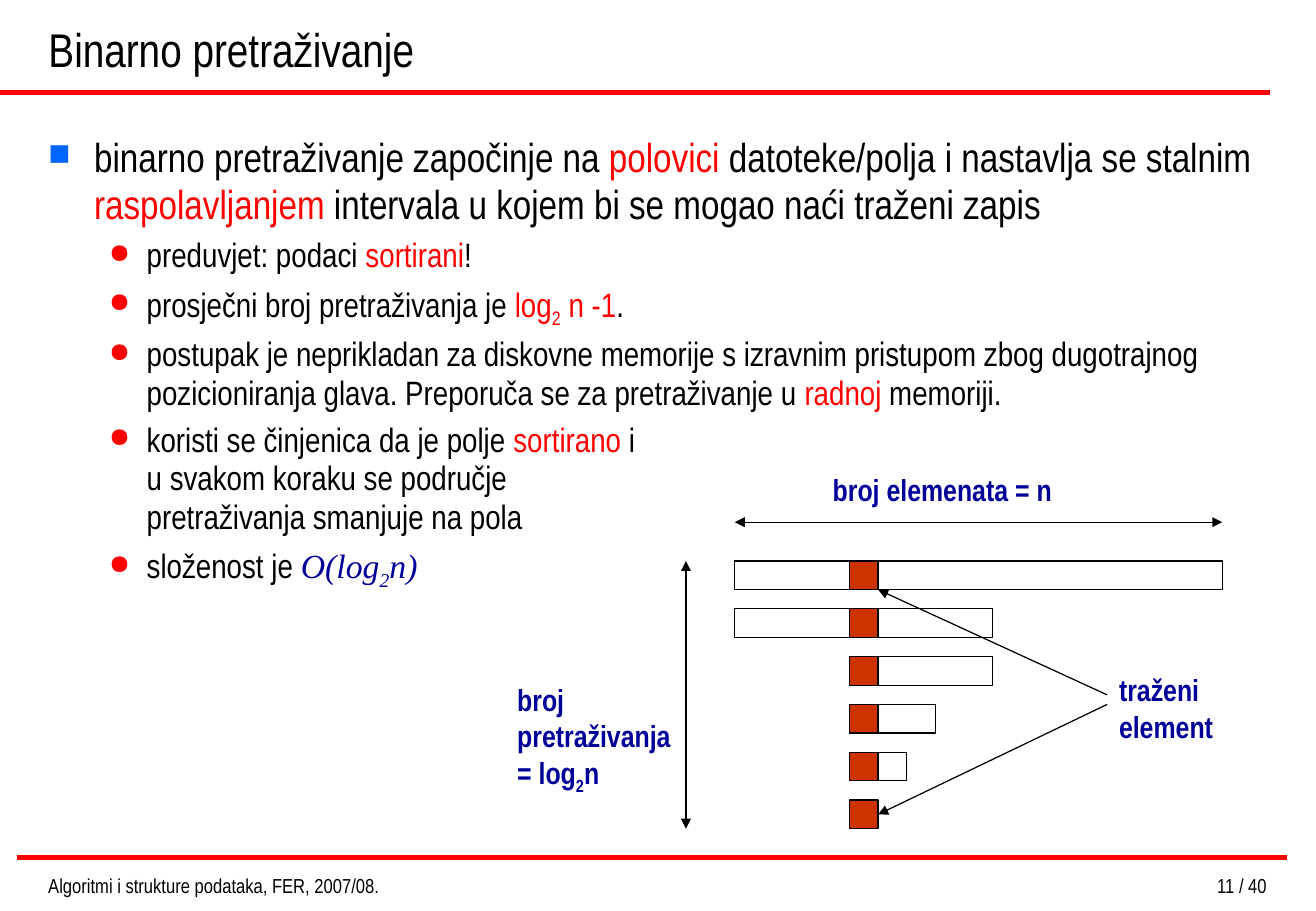
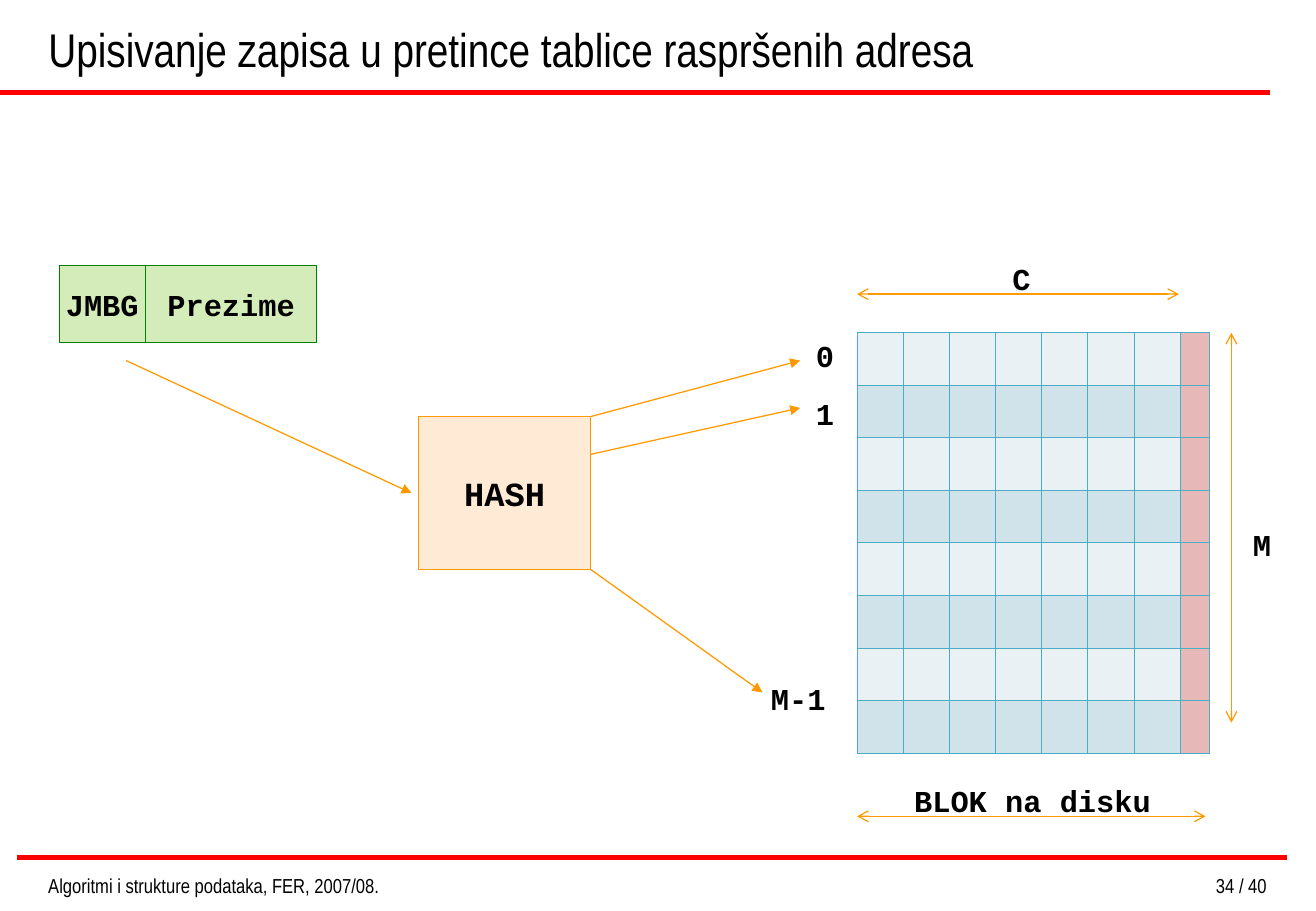
from dataclasses import dataclass

from lxml.etree import SubElement
from pptx import Presentation
from pptx.dml.color import RGBColor
from pptx.enum.shapes import MSO_CONNECTOR, MSO_SHAPE
from pptx.enum.text import MSO_ANCHOR, MSO_AUTO_SIZE, PP_ALIGN
from pptx.oxml.ns import qn
from pptx.util import Cm, Pt


@dataclass(frozen=True)
class Theme:
    black: str = "000000"
    red: str = "FF0000"
    navy: str = "000099"
    blue: str = "0066FF"
    rust: str = "CC3300"
    green: str = "92D050"
    dark_green: str = "008000"
    peach: str = "FFCC99"
    orange: str = "FF9900"
    grid: str = "4BACC6"
    bands: tuple = ("E9F1F5", "D0E3EA")
    pink: str = "E6B9B8"
    sans: str = "Arial Narrow"
    serif: str = "Times New Roman"
    mono: str = "Courier New"
    title: int = 28
    body: int = 24
    detail: int = 20
    label: int = 18
    footer: int = 12
    thin: float = 0.75
    rule: float = 3
    hairline: float = 0.45


THEME = Theme()

KEY = {"color": THEME.red}
KEY_SUB = {"color": THEME.red, "subscript": True}
FORMULA = {"color": THEME.navy, "font": THEME.serif, "italic": True}
LABEL = {"size": THEME.label, "color": THEME.navy, "bold": True}
CODE = {"size": THEME.label, "font": THEME.mono, "bold": True}

FOOTER = "Algoritmi i strukture podataka, FER, 2007/08."
RULES = [(0, 1.93, 26.57, 1.93), (0.36, 17.93, 26.92, 17.93)]

MAIN_POINT = [
    "binarno pretraživanje započinje na ", ("polovici", KEY),
    " datoteke/polja i nastavlja se stalnim ", ("raspolavljanjem", KEY),
    " intervala u kojem bi se mogao naći traženi zapis",
]
DETAILS = [
    ["preduvjet: podaci ", ("sortirani", KEY), "!"],
    ["prosječni broj pretraživanja je ", ("log", KEY), ("2", KEY_SUB), (" n -1", KEY), "."],
    ["postupak je neprikladan za diskovne memorije s izravnim pristupom zbog dugotrajnog "
     "pozicioniranja glava. Preporuča se za pretraživanje u ", ("radnoj", KEY), " memoriji."],
    ["koristi se činjenica da je polje ", ("sortirano", KEY),
     " i\nu svakom koraku se područje\npretraživanja smanjuje na pola"],
    ["složenost je ", ("O(log", FORMULA), ("2", {**FORMULA, "subscript": True}), ("n)", FORMULA)],
]
SEARCH_LABELS = [
    (["broj elemenata = n"], (17.17, 9.73, 5.41, 1.02)),
    (["traženi element"], (23.16, 13.92, 3.61, 1.78)),
    (["broj pretraživanja = log", ("2", {"subscript": True}), "n"], (10.57, 14.12, 3.99, 2.64)),
]
SEARCH_INTERVALS = [(0, 17), (0, 9), (4, 5), (4, 3), (4, 2), (4, 1)]
TARGET_CELL = 4
CELL = 0.6
INTERVAL_PITCH = 1
INTERVALS_LEFT, INTERVALS_TOP = 15.37, 11.73

HASH_BOXES = [
    ("JMBG", (1.24, 5.56, 1.8, 1.6), THEME.green, THEME.dark_green, THEME.label),
    ("Prezime", (3.04, 5.56, 3.59, 1.6), THEME.green, THEME.dark_green, THEME.label),
    ("HASH", (8.76, 8.71, 3.6, 3.2), THEME.peach, THEME.orange, THEME.detail),
]
HASH_ARROWS = [
    (2.64, 7.54, 8.61, 10.31),
    (12.36, 8.71, 16.74, 7.54),
    (12.36, 9.5, 16.74, 8.53),
    (12.36, 11.91, 15.95, 14.48),
]
DIMENSIONS = [
    (17.93, 6.15, 24.66, 6.15),
    (17.93, 17.07, 25.22, 17.07),
    (25.76, 6.96, 25.76, 15.11),
]
HASH_LABELS = [
    ("0", (16.79, 6.93, 0.91, 1.02), PP_ALIGN.RIGHT),
    ("1", (16.79, 8.13, 0.91, 1.02), PP_ALIGN.RIGHT),
    ("M-1", (15.54, 14.1, 1.98, 1.02), PP_ALIGN.RIGHT),
    ("C", (20.93, 5.31, 0.91, 1.02), PP_ALIGN.LEFT),
    ("M", (25.96, 10.87, 0.91, 1.02), PP_ALIGN.LEFT),
    ("BLOK na disku", (17.93, 16.23, 7.34, 1.02), PP_ALIGN.CENTER),
]
BLOCK_LEFT, BLOCK_TOP = 17.93, 6.95
BLOCK_ROWS, BLOCK_RECORDS = 8, 7
ROW_HEIGHT, RECORDS_WIDTH, OVERFLOW_WIDTH = 1.1, 6.76, 0.6


def rgb(color):
    return RGBColor.from_string(color)


def place(box):
    return [Cm(length) for length in box]


def add_run(paragraph, text, size, color=THEME.black, font=THEME.sans,
            bold=False, italic=False, subscript=False):
    for index, line in enumerate(text.split("\n")):
        if index:
            paragraph.add_line_break()
        run = paragraph.add_run()
        run.text = line
        run.font.size = Pt(size)
        run.font.name = font
        run.font.bold = bold
        run.font.italic = italic
        run.font.color.rgb = rgb(color)
        if subscript:
            run.font._element.set("baseline", "-25000")


def write_text(paragraph, runs, align=PP_ALIGN.LEFT, **style):
    paragraph.alignment = align
    for run in runs:
        text, extra = (run, {}) if isinstance(run, str) else run
        add_run(paragraph, text, **{**style, **extra})


def add_text(slide, runs, box, **style):
    frame = slide.shapes.add_textbox(*place(box)).text_frame
    frame.word_wrap = True
    write_text(frame.paragraphs[0], runs, **style)
    return frame


def set_bullet(paragraph, character, color, percent, margin, hanging):
    properties = paragraph._p.get_or_add_pPr()
    properties.set("marL", str(Cm(margin)))
    properties.set("indent", str(-Cm(hanging)))
    bullet_color = SubElement(properties, qn("a:buClr"))
    SubElement(bullet_color, qn("a:srgbClr"), val=color)
    SubElement(properties, qn("a:buSzPct"), val=str(percent * 1000))
    SubElement(properties, qn("a:buChar"), char=character)
    paragraph.line_spacing = 0.95


def add_line(slide, points, color, width=THEME.thin, head=None, tail=None):
    connector = slide.shapes.add_connector(MSO_CONNECTOR.STRAIGHT, *place(points))
    connector.line.color.rgb = rgb(color)
    connector.line.width = Pt(width)
    line = connector.line._get_or_add_ln()
    for tag, kind in (("a:headEnd", head), ("a:tailEnd", tail)):
        if kind:
            SubElement(line, qn(tag), type=kind)
    SubElement(connector._element.spPr, qn("a:effectLst"))
    return connector


def add_rectangle(slide, box, line, fill=None, opacity=100):
    shape = slide.shapes.add_shape(MSO_SHAPE.RECTANGLE, *place(box))
    shape.shadow.inherit = False
    shape.line.color.rgb = rgb(line)
    shape.line.width = Pt(THEME.thin)
    if fill is None:
        shape.fill.background()
        return shape
    shape.fill.solid()
    shape.fill.fore_color.rgb = rgb(fill)
    if opacity < 100:
        color = shape._element.spPr.find(qn("a:solidFill")).find(qn("a:srgbClr"))
        SubElement(color, qn("a:alpha"), val=str(opacity * 1000))
    return shape


def add_slide(presentation, title, number):
    slide = presentation.slides.add_slide(presentation.slide_layouts[5])
    for rule in RULES:
        add_line(slide, rule, THEME.red, THEME.rule)
    heading = slide.shapes.title
    heading.left, heading.top, heading.width, heading.height = place((0.76, 0, 25.81, 1.73))
    frame = heading.text_frame
    frame.vertical_anchor = MSO_ANCHOR.BOTTOM
    frame.auto_size = MSO_AUTO_SIZE.NONE
    write_text(frame.paragraphs[0], [title], size=THEME.title)
    add_text(slide, [FOOTER], (0.76, 18.14, 9.6, 0.61), size=THEME.footer)
    add_text(slide, [number], (19.71, 18.14, 7.04, 0.61), size=THEME.footer, align=PP_ALIGN.RIGHT)
    return slide


def build_search_slide(presentation):
    slide = add_slide(presentation, "Binarno pretraživanje", "11 / 40")
    body = add_text(slide, MAIN_POINT, (0.76, 2.72, 26.01, 14.81), size=THEME.body)
    set_bullet(body.paragraphs[0], "■", THEME.blue, 75, 0.96, 0.96)
    for detail in DETAILS:
        paragraph = body.add_paragraph()
        set_bullet(paragraph, "●", THEME.red, 80, 2.06, 0.79)
        paragraph.space_before = Pt(5)
        write_text(paragraph, detail, size=THEME.detail)

    target_left = INTERVALS_LEFT + TARGET_CELL * CELL
    targets = []
    for row, (start, cells) in enumerate(SEARCH_INTERVALS):
        top = INTERVALS_TOP + row * INTERVAL_PITCH
        if cells > 1:
            left = INTERVALS_LEFT + start * CELL
            add_rectangle(slide, (left, top, cells * CELL, CELL), THEME.black)
        targets.append(add_rectangle(slide, (target_left, top, CELL, CELL), THEME.black, THEME.rust))

    right = INTERVALS_LEFT + SEARCH_INTERVALS[0][1] * CELL
    bottom = INTERVALS_TOP + (len(SEARCH_INTERVALS) - 1) * INTERVAL_PITCH + CELL
    for span in ((INTERVALS_LEFT, 10.92, right, 10.92), (14.35, INTERVALS_TOP, 14.35, bottom)):
        add_line(slide, span, THEME.black, head="triangle", tail="triangle")
    target_right = target_left + CELL
    add_line(slide, (23.16, 14.53, target_right, INTERVALS_TOP + CELL), THEME.black, tail="triangle")
    last_arrow = add_line(slide, (23.16, 14.73, target_right, bottom - CELL / 2),
                          THEME.black, tail="triangle")
    last_arrow.end_connect(targets[-1], 3)
    for runs, box in SEARCH_LABELS:
        add_text(slide, runs, box, **LABEL)


def format_cell(cell, fill):
    properties = cell._tc.get_or_add_tcPr()
    for side in ("a:lnL", "a:lnR", "a:lnT", "a:lnB"):
        border = SubElement(properties, qn(side), w=str(Pt(THEME.hairline)))
        SubElement(SubElement(border, qn("a:solidFill")), qn("a:srgbClr"), val=THEME.grid)
    cell.fill.solid()
    cell.fill.fore_color.rgb = rgb(fill)


def add_block_table(slide):
    box = (BLOCK_LEFT, BLOCK_TOP, RECORDS_WIDTH + OVERFLOW_WIDTH, BLOCK_ROWS * ROW_HEIGHT)
    table = slide.shapes.add_table(BLOCK_ROWS, BLOCK_RECORDS + 1, *place(box)).table
    table.first_row = False
    table.horz_banding = False
    for index, column in enumerate(table.columns):
        column.width = Cm(RECORDS_WIDTH / BLOCK_RECORDS if index < BLOCK_RECORDS else OVERFLOW_WIDTH)
    for row_index, row in enumerate(table.rows):
        row.height = Cm(ROW_HEIGHT)
        for index, cell in enumerate(row.cells):
            format_cell(cell, THEME.bands[row_index % 2] if index < BLOCK_RECORDS else THEME.pink)


def build_hash_slide(presentation):
    slide = add_slide(presentation, "Upisivanje zapisa u pretince tablice raspršenih adresa", "34 / 40")
    for text, box, fill, line, size in HASH_BOXES:
        frame = add_rectangle(slide, box, line, fill, opacity=40).text_frame
        frame.word_wrap = False
        frame.vertical_anchor = MSO_ANCHOR.MIDDLE
        write_text(frame.paragraphs[0], [text], align=PP_ALIGN.CENTER, **{**CODE, "size": size})
    add_block_table(slide)
    for arrow in HASH_ARROWS:
        add_line(slide, arrow, THEME.orange, tail="triangle")
    for dimension in DIMENSIONS:
        add_line(slide, dimension, THEME.orange, head="arrow", tail="arrow")
    for text, box, align in HASH_LABELS:
        add_text(slide, [text], box, align=align, **CODE)


def main():
    presentation = Presentation()
    presentation.slide_width, presentation.slide_height = Cm(27.53), Cm(19.05)
    build_search_slide(presentation)
    build_hash_slide(presentation)
    presentation.save("out.pptx")


if __name__ == "__main__":
    main()
